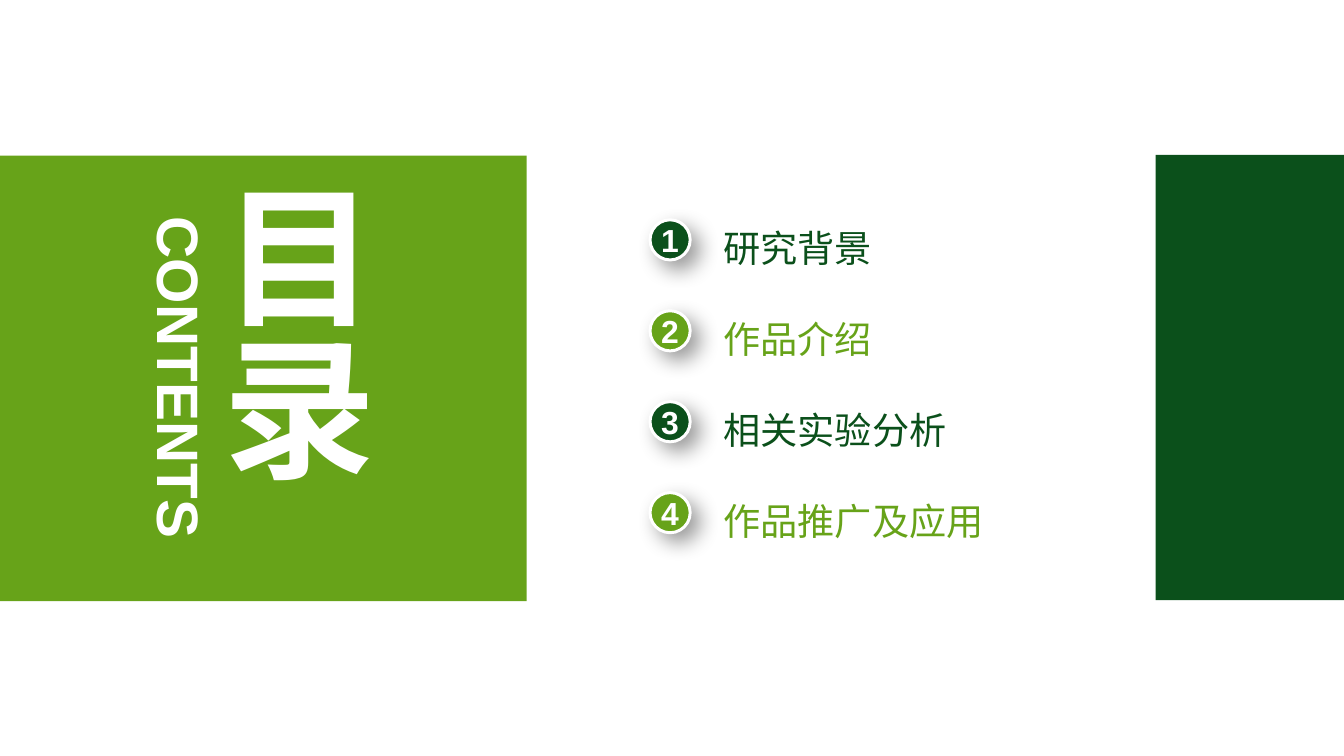
from lxml.etree import SubElement
from pptx import Presentation
from pptx.dml.color import RGBColor
from pptx.enum.shapes import MSO_SHAPE as Shape
from pptx.enum.text import MSO_ANCHOR as Anchor, MSO_AUTO_SIZE as AutoSize, PP_ALIGN as Align
from pptx.oxml.ns import qn
from pptx.util import Pt

# Content
TITLE = "目录"
SUBTITLE = "CONTENTS"
TOPICS = ["研究背景", "作品介绍", "相关实验分析", "作品推广及应用"]

COLORS = {"light": "67A319", "dark": "0B501B", "white": "FFFFFF", "shadow": "000000"}
FONT = "Arial"
WIDTH, HEIGHT = 1012.32, 569.52

# Panels: left, top, width, height, colour
PANELS = [(0, 117.36, 396.72, 335.52, "light"),
          (870.48, 116.64, 141.84, 335.52, "dark")]

# Topic list: equal steps down from the first centre line
FIRST_CENTER, STEP = 183.2, 68.5
BADGE_LEFT, BADGE_SIZE, BADGE_RISE = 489.6, 30.24, 2.5
LIST_LEFT, LIST_WIDTH, LINE = 545.04, 307.44, 40


def rgb(name):
    return RGBColor.from_string(COLORS[name])


def place(shape, left, top, width, height):
    shape.left, shape.top, shape.width, shape.height = Pt(left), Pt(top), Pt(width), Pt(height)


def set_frame(shape, anchor):
    frame = shape.text_frame
    frame.margin_left = frame.margin_top = frame.margin_right = frame.margin_bottom = 0
    frame.word_wrap = True
    frame.auto_size = AutoSize.NONE
    frame.vertical_anchor = anchor
    return frame


def style(paragraph, size, color, bold, align):
    paragraph.alignment = align
    font = paragraph.font
    font.name, font.size, font.bold = FONT, Pt(size), bold
    font.color.rgb = rgb(color)


def add_filled(kind, box, color):
    shape = slide.shapes.add_shape(kind, *map(Pt, box))
    shape.shadow.inherit = False
    shape.fill.solid()
    shape.fill.fore_color.rgb = rgb(color)
    return shape


def add_shadow(shape):
    effects = shape.element.spPr.find(qn("a:effectLst"))
    outer = SubElement(effects, qn("a:outerShdw"), blurRad=str(Pt(16)), dist=str(Pt(9)),
                       dir="2700000", algn="tl", rotWithShape="0")
    tint = SubElement(outer, qn("a:srgbClr"), val=COLORS["shadow"])
    SubElement(tint, qn("a:alpha"), val="40000")


presentation = Presentation()
presentation.slide_width, presentation.slide_height = Pt(WIDTH), Pt(HEIGHT)
slide = presentation.slides.add_slide(presentation.slide_layouts[1])
title, body = slide.shapes.title, slide.placeholders[1]

# Panels, behind the title and list
for *box, color in PANELS:
    panel = add_filled(Shape.RECTANGLE, box, color)
    panel.line.fill.background()
    title.element.addprevious(panel.element)

# Vertical title
place(title, 151.92, 135.36, 139.68, 298.8)
frame = set_frame(title, Anchor.MIDDLE)
frame.text = TITLE
frame._txBody.bodyPr.set("vert", "eaVert")
style(frame.paragraphs[0], 115, "white", True, Align.LEFT)

# Rotated subtitle
subtitle = slide.shapes.add_textbox(Pt(5.76), Pt(257.76), Pt(259.92), Pt(53.28))
subtitle.rotation = 90
frame = set_frame(subtitle, Anchor.TOP)
frame.text = SUBTITLE
style(frame.paragraphs[0], 44, "white", True, Align.CENTER)

# Topic list with numbered badges
place(body, LIST_LEFT, FIRST_CENTER - LINE / 2, LIST_WIDTH, LINE + STEP * (len(TOPICS) - 1))
frame = set_frame(body, Anchor.MIDDLE)
frame.text = "\n".join(TOPICS)
for index, paragraph in enumerate(frame.paragraphs):
    color = ("dark", "light")[index % 2]
    properties = paragraph._p.get_or_add_pPr()
    properties.set("marL", "0")
    properties.set("indent", "0")
    SubElement(properties, qn("a:buNone"))
    paragraph.line_spacing = Pt(LINE)
    paragraph.space_before = Pt(STEP - LINE if index else 0)
    style(paragraph, 28, color, False, Align.LEFT)

    badge_top = FIRST_CENTER + index * STEP - BADGE_RISE - BADGE_SIZE / 2
    badge = add_filled(Shape.OVAL, (BADGE_LEFT, badge_top, BADGE_SIZE, BADGE_SIZE), color)
    badge.line.color.rgb = rgb("white")
    badge.line.width = Pt(2.25)
    add_shadow(badge)
    badge_frame = set_frame(badge, Anchor.MIDDLE)
    badge_frame.text = str(index + 1)
    style(badge_frame.paragraphs[0], 24, "white", True, Align.CENTER)

presentation.save("out.pptx")
